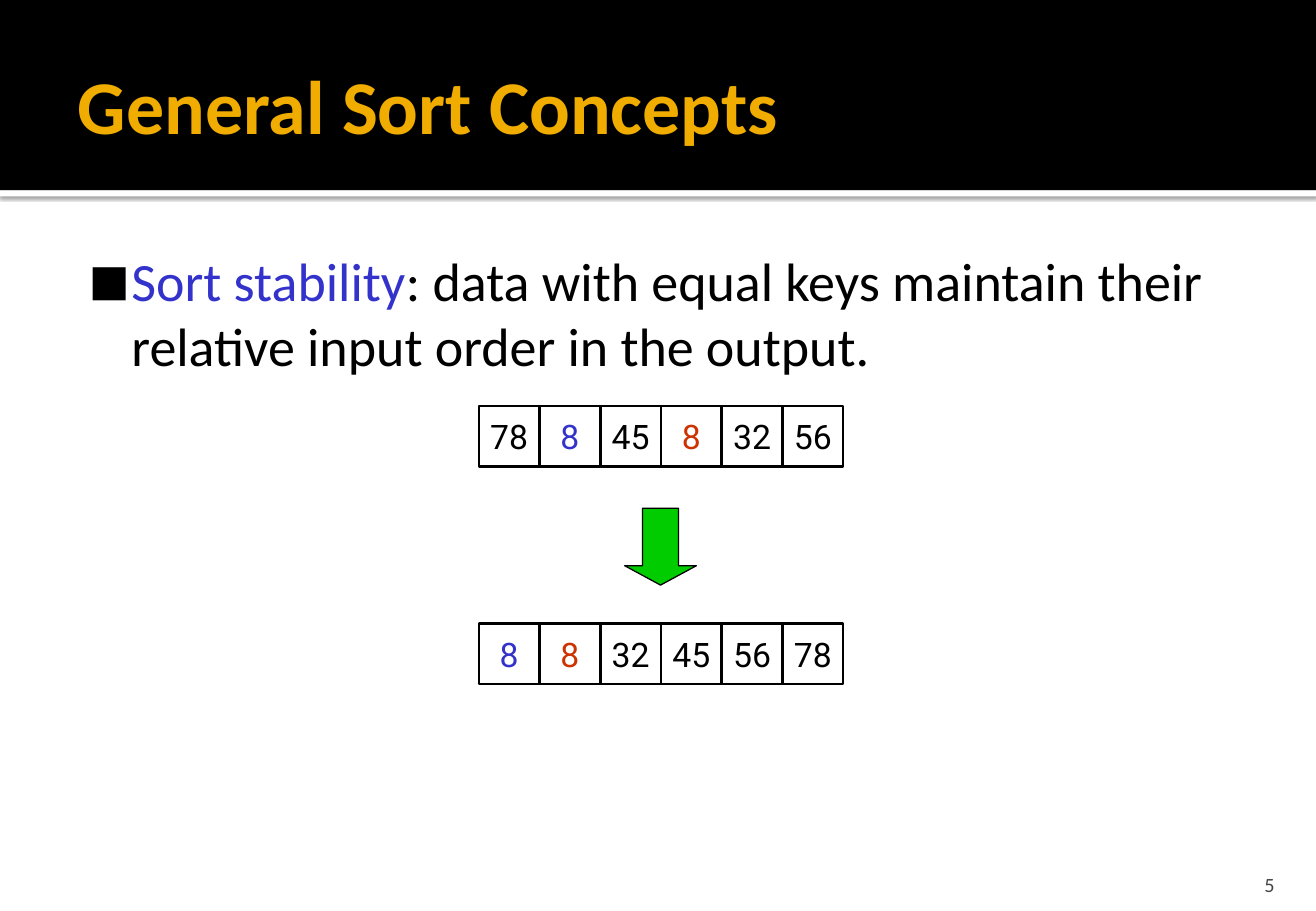
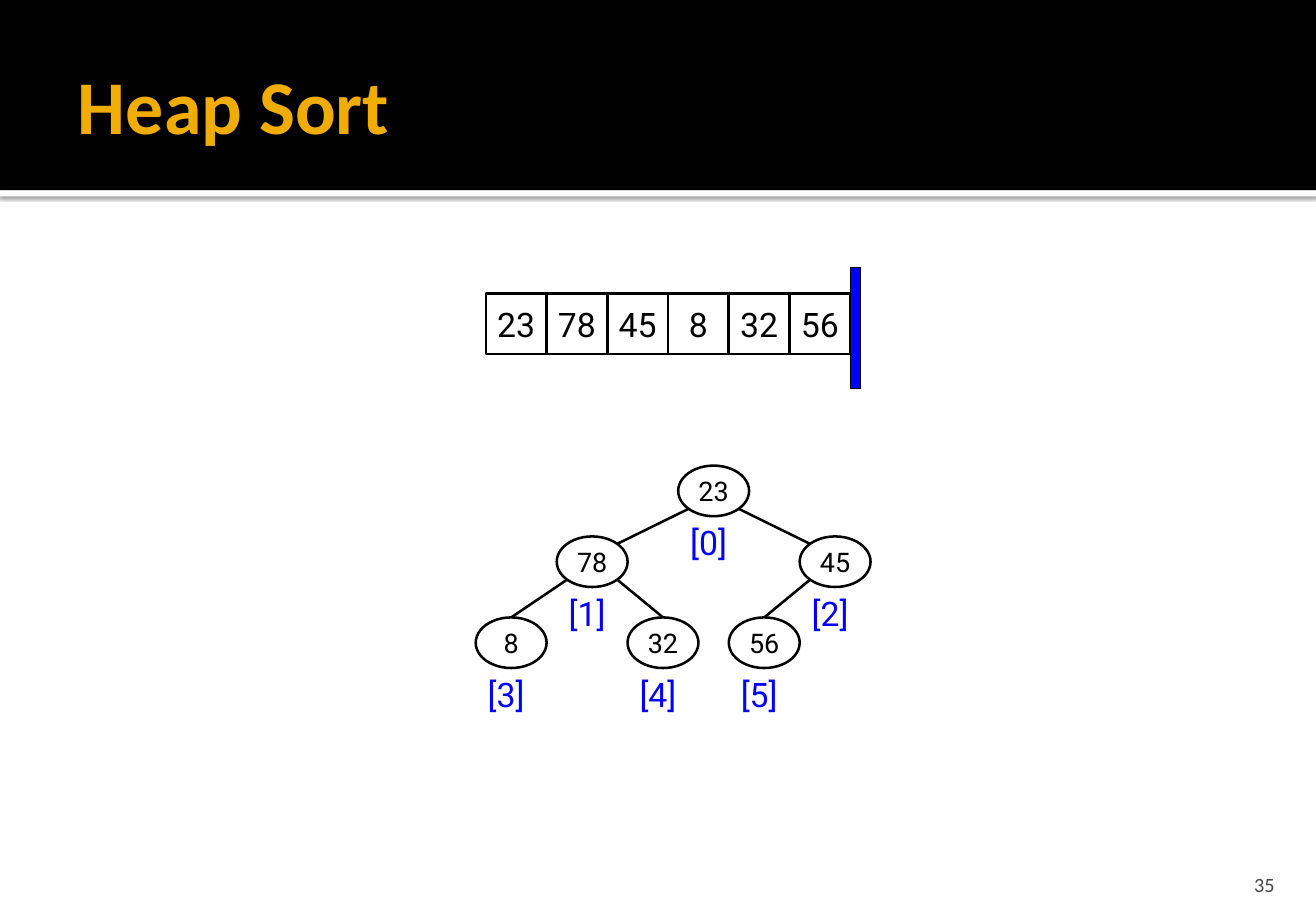
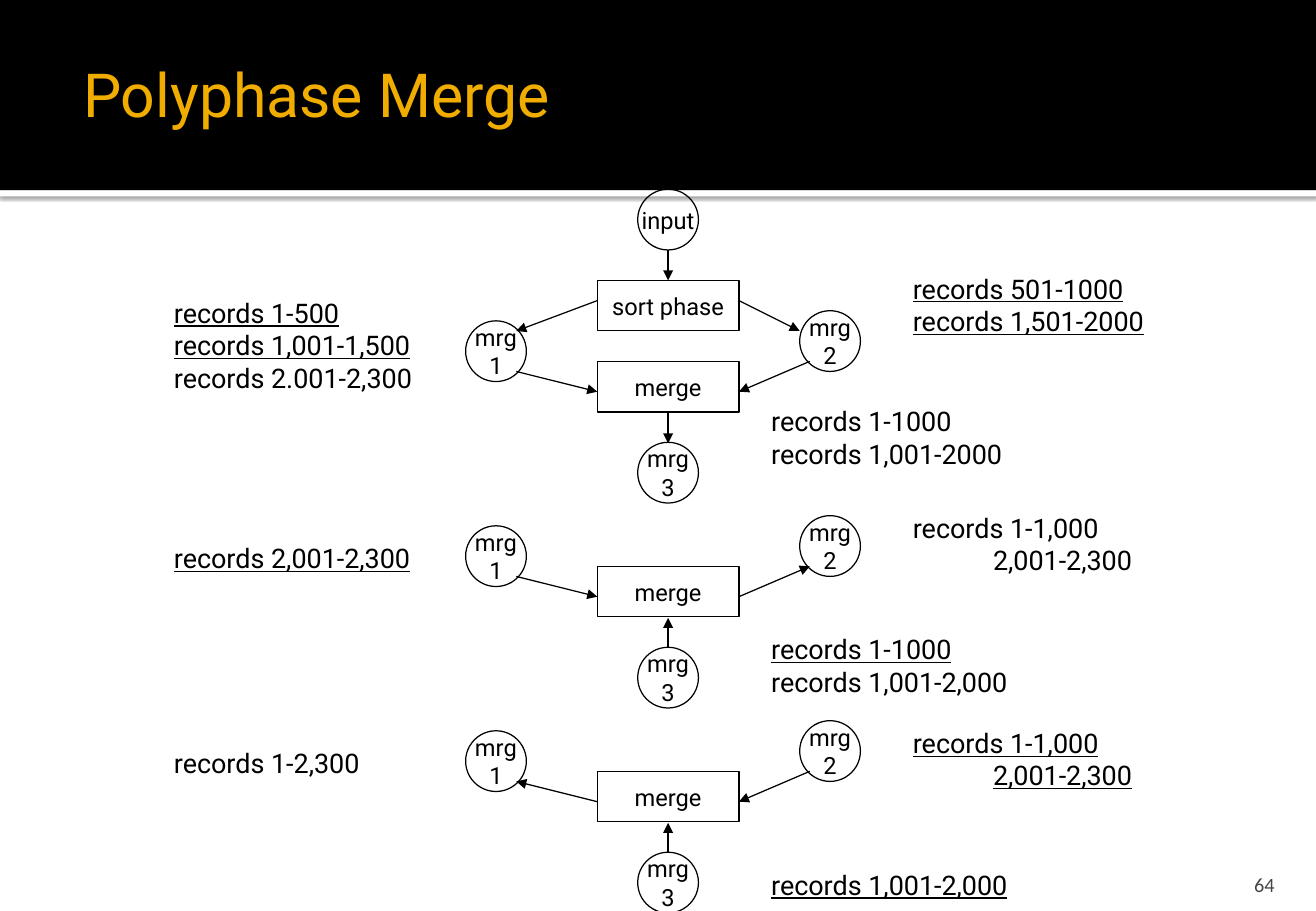
from math import sqrt

from lxml import etree
from pptx import Presentation
from pptx.dml.color import RGBColor
from pptx.enum.shapes import MSO_CONNECTOR, MSO_SHAPE
from pptx.enum.text import MSO_ANCHOR, MSO_AUTO_SIZE, PP_ALIGN
from pptx.oxml.ns import qn
from pptx.util import Inches, Pt

COLORS = {
    "black": "000000", "white": "FFFFFF", "gold": "F0AD00", "grey": "454545",
    "indigo": "3333CC", "red": "CC3300", "green": "00CC00", "blue": "0000FF",
}
HEADING_FONT, DIAGRAM_FONT = "Calibri", "Roboto"

# The slide is a grid of 130 columns by 90 rows, twelve to the inch
COLUMNS, ROWS = 130, 90
UNIT = Inches(1) / 12
CELL = 6
NODE_W, NODE_H = 7, 5
TITLE_BOX = (6.5, 2, 117, 16.5)
BODY_BOX = (6.5, 23.3, 117, 60.7)


def grid(*values):
    return [round(value * UNIT) for value in values]


def rgb(name):
    return RGBColor.from_string(COLORS[name])


# Text
def add_run(paragraph, text, size, color="black", font=DIAGRAM_FONT,
            bold=False, underline=False):
    run = paragraph.add_run()
    run.text = text
    run.font.size, run.font.name = Pt(size), font
    run.font.bold, run.font.underline = bold, underline
    run.font.color.rgb = rgb(color)


def write(frame, lines, align=PP_ALIGN.LEFT, **style):
    """Write one paragraph a line, all in one style."""
    for index, line in enumerate(lines):
        paragraph = frame.add_paragraph() if index else frame.paragraphs[0]
        paragraph.alignment = align
        add_run(paragraph, line, **style)


def set_frame(frame, anchor=MSO_ANCHOR.TOP, wrap=True, insets=(0.1, 0.05, 0.1, 0.05)):
    frame.auto_size = MSO_AUTO_SIZE.NONE
    frame.word_wrap, frame.vertical_anchor = wrap, anchor
    (frame.margin_left, frame.margin_top,
     frame.margin_right, frame.margin_bottom) = map(Inches, insets)


def add_label(slide, box, lines, anchor=MSO_ANCHOR.TOP, **style):
    frame = slide.shapes.add_textbox(*grid(*box)).text_frame
    set_frame(frame, anchor)
    write(frame, lines, **style)
    return frame


# Shapes and lines
def add_figure(slide, kind, box, fill=None, line="black", weight=0.75, lines=(), **style):
    figure = slide.shapes.add_shape(kind, *grid(*box))
    figure.shadow.inherit = False
    if fill:
        figure.fill.solid()
        figure.fill.fore_color.rgb = rgb(fill)
    else:
        figure.fill.background()
    if line:
        figure.line.color.rgb, figure.line.width = rgb(line), Pt(weight)
    else:
        figure.line.fill.background()
    if lines:
        set_frame(figure.text_frame, MSO_ANCHOR.MIDDLE, wrap=False)
        write(figure.text_frame, lines, align=PP_ALIGN.CENTER, **style)
    return figure


def add_line(slide, start, end, weight=0.75, arrow=False):
    link = slide.shapes.add_connector(MSO_CONNECTOR.STRAIGHT, *grid(*start, *end))
    link.line.color.rgb, link.line.width = rgb("black"), Pt(weight)
    if arrow:
        etree.SubElement(link.line._get_or_add_ln(), qn("a:tailEnd"), type="triangle")
    etree.SubElement(link._element.spPr, qn("a:effectLst"))


# Parts that the slides share
def add_bands_to_master(prs, slide):
    """Draw the header bands, then move them behind the master's placeholders."""
    strip = add_figure(slide, MSO_SHAPE.RECTANGLE, (0, 18.8, COLUMNS, 0.6), "white", None)
    header = add_figure(slide, MSO_SHAPE.RECTANGLE, (0, 0, COLUMNS, 18.8), "black", None)
    effects = strip._element.spPr.find(qn("a:effectLst"))
    shadow = etree.SubElement(effects, qn("a:outerShdw"), blurRad=str(Pt(2.5)),
                              dist=str(Pt(0.8)), dir="5400000", rotWithShape="0")
    shade = etree.SubElement(shadow, qn("a:srgbClr"), val=COLORS["black"])
    etree.SubElement(shade, qn("a:alpha"), val="60000")
    tree = prs.slide_master.shapes._spTree
    for place, band in enumerate((strip, header), start=2):
        tree.insert(place, band._element)


def place(holder, box):
    holder.left, holder.top, holder.width, holder.height = grid(*box)


def set_title(slide, text, box=TITLE_BOX, anchor=MSO_ANCHOR.MIDDLE, size=45,
              font=HEADING_FONT, bold=True):
    title = slide.shapes.title
    place(title, box)
    set_frame(title.text_frame, anchor, insets=(0.1, 0.05, 0.05, 0.05))
    write(title.text_frame, [text], size=size, font=font, bold=bold, color="gold")


def add_page_number(slide, number):
    frame = add_label(slide, (116.6, 85, 10.5, 3.6), [str(number)], MSO_ANCHOR.BOTTOM,
                      align=PP_ALIGN.RIGHT, size=12, font=HEADING_FONT, color="grey")
    frame.margin_bottom = 0


def add_bullet(paragraph):
    paragraph.space_before = Pt(0)
    props = paragraph._p.get_or_add_pPr()
    props.set("marL", str(Inches(0.48)))
    props.set("indent", str(-Inches(0.35)))
    color = etree.SubElement(props, qn("a:buClr"))
    etree.SubElement(color, qn("a:srgbClr"), val=COLORS["black"])
    etree.SubElement(props, qn("a:buSzPct"), val="80000")
    etree.SubElement(props, qn("a:buFont"), typeface=HEADING_FONT)
    etree.SubElement(props, qn("a:buChar"), char="■")


def add_array(slide, left, top, keys):
    """Draw a row of cells; each key is a (number, colour) pair."""
    for index, (number, color) in enumerate(keys):
        add_figure(slide, MSO_SHAPE.RECTANGLE, (left + index * CELL, top, CELL, CELL),
                   weight=1.5, lines=[str(number)], size=20, color=color)


# Sort stability
def build_stability(slide):
    set_title(slide, "General Sort Concepts")
    body = slide.placeholders[1]
    place(body, BODY_BOX)
    set_frame(body.text_frame, insets=(0.06, 0.1, 0.1, 0.05))
    definition = body.text_frame.paragraphs[0]
    add_bullet(definition)
    add_run(definition, "Sort stability", 32, "indigo", HEADING_FONT)
    add_run(definition, ": data with equal keys maintain their relative input order "
            "in the output.", 32, font=HEADING_FONT)

    first, second = (8, "indigo"), (8, "red")
    unsorted_keys = [(78, "black"), first, (45, "black"), second, (32, "black"), (56, "black")]
    add_array(slide, 47.3, 40.1, unsorted_keys)
    add_array(slide, 47.3, 61.6, sorted(unsorted_keys, key=lambda key: key[0]))
    arrow = add_figure(slide, MSO_SHAPE.DOWN_ARROW, (61.7, 50.2, 7.1, 7.6), "green")
    arrow.adjustments[1] = 0.27


# Heap sort
def build_heap(slide):
    set_title(slide, "Heap Sort")
    heap = [23, 78, 45, 8, 32, 56]
    spots = [(67, 46), (55, 53), (79, 53), (47, 61), (62, 61), (72, 61)]
    add_array(slide, 48, 29, [(number, "black") for number in heap])
    add_figure(slide, MSO_SHAPE.RECTANGLE, (48 + len(heap) * CELL, 26.4, 1, 12), "blue")

    def rim(index, across, down):
        """Point on a node, as shares of its half width and half height."""
        left, top = spots[index]
        return left + NODE_W / 2 * (1 + across), top + NODE_H / 2 * (1 + down)

    diagonal = 1 / sqrt(2)
    for child in range(1, len(heap)):
        side = -diagonal if child % 2 else diagonal
        is_leaf = 2 * child + 1 >= len(heap)
        target = rim(child, 0, -1) if is_leaf else rim(child, -side, -diagonal)
        add_line(slide, rim((child - 1) // 2, side, diagonal), target, weight=1.5)
    for index, (number, (left, top)) in enumerate(zip(heap, spots)):
        add_figure(slide, MSO_SHAPE.OVAL, (left, top, NODE_W, NODE_H), weight=1.5,
                   lines=[str(number)], size=16)
        add_label(slide, (left, top + NODE_H, NODE_W, 5.2), [f"[{index}]"],
                  size=20, color="blue")


# Polyphase merge
def add_step(slide, top, text):
    add_figure(slide, MSO_SHAPE.RECTANGLE, (59, top, 14, 5), lines=[text], size=14)


def add_tape(slide, left, top, lines):
    add_figure(slide, MSO_SHAPE.OVAL, (left, top, CELL, CELL), lines=lines, size=14)


def add_phase(slide, top, output):
    """Draw a merge step with its three tapes; the output tape receives the arrow."""
    add_step(slide, top, "merge")
    tapes = [  # tape corner, arrow end at the tape, arrow end at the step
        ((46, -4), (51, 1), (59, 3)),
        ((79, -5), (80, 0), (73, 3)),
        ((63, 8), (66, 8.1), (66, 5.1)),
    ]
    for number, (corner, *ends) in enumerate(tapes, start=1):
        add_tape(slide, corner[0], top + corner[1], ["mrg", str(number)])
        start, end = ((x, top + y) for x, y in (ends[::-1] if number == output else ends))
        add_line(slide, start, end, arrow=True)


def add_records(slide, left, top, records):
    """List records as (text, underlined) pairs; a continued range is indented."""
    frame = slide.shapes.add_textbox(*grid(left, top, 28, 10.8)).text_frame
    set_frame(frame)
    for index, (text, underlined) in enumerate(records):
        paragraph = frame.add_paragraph() if index else frame.paragraphs[0]
        if not text.startswith("records"):
            paragraph._p.get_or_add_pPr().set("marL", str(Inches(0.66)))
        add_run(paragraph, text, 16, underline=underlined)


def build_polyphase(slide):
    set_title(slide, "Polyphase Merge", (7, 5, 53, 8.5), MSO_ANCHOR.TOP, 36,
              DIAGRAM_FONT, False)
    first_top, phase_gap = 35.7, 20.25

    # Input and sort phase
    add_tape(slide, 63, first_top - 17, ["input"])
    add_step(slide, first_top - 8, "sort phase")
    for start, end in [((66, -11), (66, -8)), ((59, -6), (51, -3)), ((73, -6), (79, -3))]:
        add_line(slide, (start[0], first_top + start[1]), (end[0], first_top + end[1]),
                 arrow=True)

    # Output tape of each phase, then the rows from the merge step to each tape's records
    phases = [
        (3, [(-7, [("records 1-500", True), ("records 1,001-1,500", True),
                   ("records 2.001-2,300", False)]),
             (-9.4, [("records 501-1000", True), ("records 1,501-2000", True)]),
             (3.7, [("records 1-1000", False), ("records 1,001-2000", False)])]),
        (2, [(-3, [("records 2,001-2,300", True)]),
             (-6, [("records 1-1,000", False), ("2,001-2,300", False)]),
             (6, [("records 1-1000", True), ("records 1,001-2,000", False)])]),
        (1, [(-3, [("records 1-2,300", False)]),
             (-5, [("records 1-1,000", True), ("2,001-2,300", True)]),
             (9, [("records 1,001-2,000", True)])]),
    ]
    for index, (output, tape_records) in enumerate(phases):
        top = first_top + index * phase_gap
        add_phase(slide, top, output)
        for left, (offset, records) in zip((16, 89, 75), tape_records):
            add_records(slide, left, top + offset, records)


def main():
    prs = Presentation()
    prs.slide_width, prs.slide_height = grid(COLUMNS, ROWS)
    with_body, title_only = prs.slide_layouts[1], prs.slide_layouts[5]
    pages = [(with_body, build_stability, 5), (title_only, build_heap, 35),
             (title_only, build_polyphase, 64)]
    for layout, build, number in pages:
        slide = prs.slides.add_slide(layout)
        build(slide)
        add_page_number(slide, number)
    add_bands_to_master(prs, prs.slides[0])
    prs.save("out.pptx")


if __name__ == "__main__":
    main()
